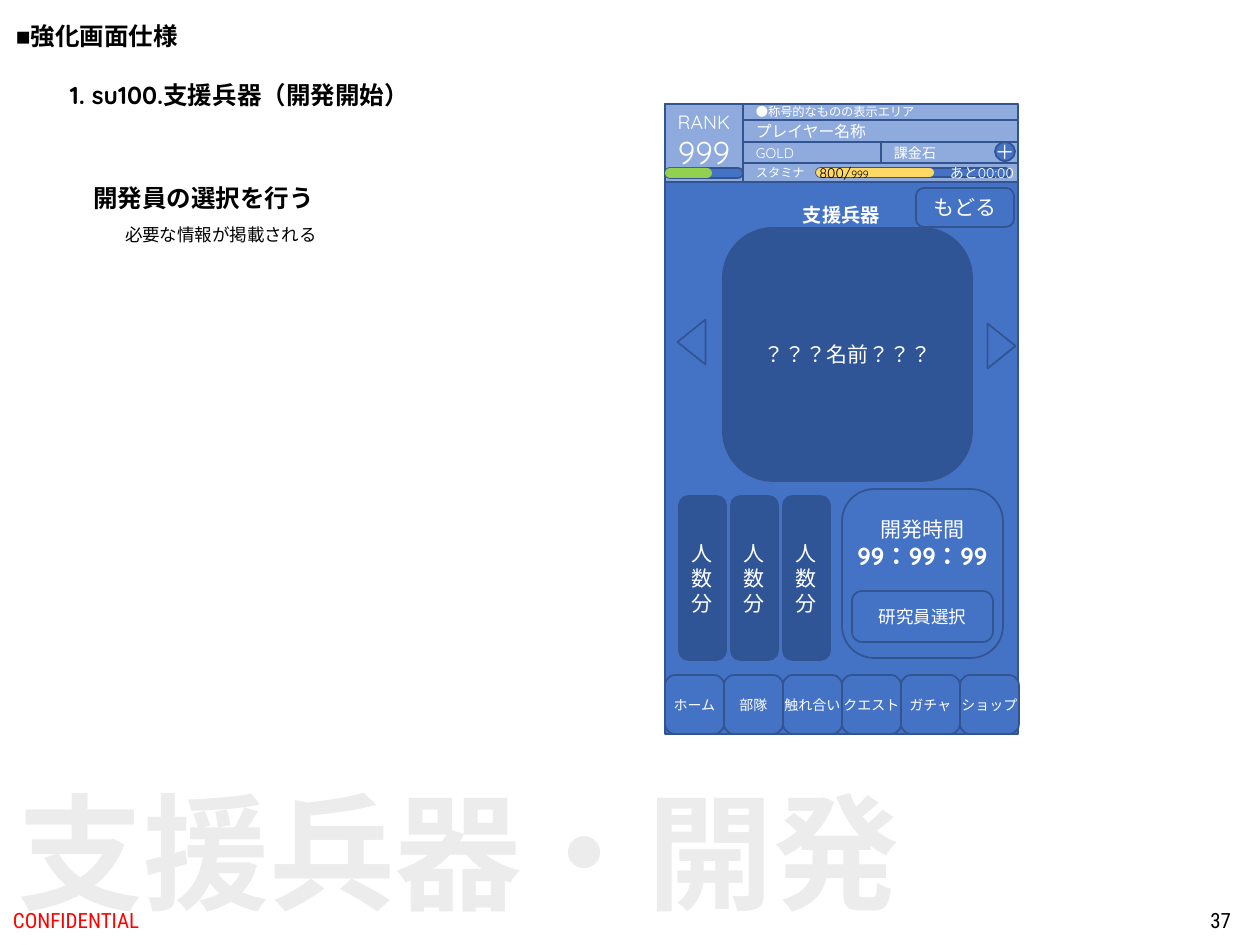
from dataclasses import dataclass

from lxml.etree import SubElement
from pptx import Presentation
from pptx.dml.color import RGBColor
from pptx.enum.lang import MSO_LANGUAGE_ID
from pptx.enum.shapes import MSO_SHAPE
from pptx.enum.text import MSO_ANCHOR, MSO_AUTO_SIZE, PP_ALIGN
from pptx.oxml.ns import qn
from pptx.util import Emu, Pt

PX = 914400 / 126


@dataclass(frozen=True)
class Theme:
    base: str = "4472C4"
    bar: str = "8FAADC"
    deep: str = "2F5597"
    edge: str = "325491"
    rank: str = "92D050"
    stamina: str = "FFD966"
    white: str = "FFFFFF"
    black: str = "000000"
    red: str = "FF0000"
    grey: str = "808080"
    body: str = "Quicksand"
    footer: str = "Roboto Condensed"
    tiny: int = 6
    caption: int = 7
    small: int = 8
    player: int = 9
    note: int = 10
    label: int = 11
    normal: int = 12
    large: int = 14
    number: int = 18
    banner: int = 72


THEME = Theme()


def px(*lengths):
    return [Emu(round(length * PX)) for length in lengths]


def write(frame, text, size=THEME.normal, color=THEME.white, font=THEME.body,
          bold=False, align=PP_ALIGN.CENTER, anchor=MSO_ANCHOR.MIDDLE,
          wrap=False, insets=(13, 6, 13, 6), alpha=None):
    frame.word_wrap = wrap
    frame.vertical_anchor = anchor
    (frame.margin_left, frame.margin_top,
     frame.margin_right, frame.margin_bottom) = px(*insets)
    lines = [[(text, size, bold)]] if isinstance(text, str) else text
    for index, line in enumerate(lines):
        paragraph = frame.paragraphs[0] if index == 0 else frame.add_paragraph()
        paragraph.alignment = align
        for words, points, strong in line:
            run = paragraph.add_run()
            run.text = words
            run.font.size = Pt(points)
            run.font.bold = strong
            run.font.color.rgb = RGBColor.from_string(color)
            run.font.name = font
            run.font.language_id = MSO_LANGUAGE_ID.JAPANESE
            properties = run._r.get_or_add_rPr()
            SubElement(properties, qn("a:ea")).set("typeface", font)
            if alpha is not None:
                tint = properties.find(".//" + qn("a:srgbClr"))
                SubElement(tint, qn("a:alpha")).set("val", str(alpha * 1000))


class Screen:
    """Draws the elements of a game screen specification on a slide."""

    def __init__(self, slide, theme):
        self.shapes = slide.shapes
        self.theme = theme

    def block(self, box, text=None, kind=MSO_SHAPE.RECTANGLE, fill=None,
              outlined=True, radius=None, rotation=0, **style):
        block = self.shapes.add_shape(kind, *px(*box))
        block.shadow.inherit = False
        block.fill.solid()
        block.fill.fore_color.rgb = RGBColor.from_string(fill or self.theme.base)
        if outlined:
            block.line.color.rgb = RGBColor.from_string(self.theme.edge)
            block.line.width = Pt(1)
        else:
            block.line.fill.background()
        if radius is not None:
            block.adjustments[0] = radius
        block.rotation = rotation
        if text:
            write(block.text_frame, text, **style)

    def bar(self, box, text, **style):
        self.block(box, text, fill=self.theme.bar, wrap=True,
                   align=PP_ALIGN.LEFT, **style)

    def button(self, box, text, radius=0.2, **style):
        self.block(box, text, MSO_SHAPE.ROUNDED_RECTANGLE, radius=radius, **style)

    def gauge(self, left, top, width, height, level, fill):
        for length, paint, outlined in ((width, None, True), (level, fill, False)):
            self.block((left, top, length, height), fill=paint, outlined=outlined,
                       kind=MSO_SHAPE.ROUNDED_RECTANGLE, radius=0.5)

    def arrow(self, box, rotation):
        self.block(box, kind=MSO_SHAPE.ISOSCELES_TRIANGLE, rotation=rotation)

    def label(self, box, text, grow=False, **style):
        label = self.shapes.add_textbox(*px(*box))
        write(label.text_frame, text, **style)
        if grow:
            label.text_frame.auto_size = MSO_AUTO_SIZE.SHAPE_TO_FIT_TEXT

    def heading(self, box, text, **style):
        style = {"size": self.theme.large, "bold": True, **style}
        self.label(box, text, grow=True, color=self.theme.black,
                   align=PP_ALIGN.LEFT, anchor=MSO_ANCHOR.TOP, **style)


def draw_notes(screen):
    theme = screen.theme
    screen.label((0, 895, 426, 50), "CONFIDENTIAL", color=theme.red,
                 font=theme.footer, align=PP_ALIGN.LEFT, wrap=True)
    screen.label((960, 895, 284, 50), "37", color=theme.black,
                 font=theme.footer, align=PP_ALIGN.RIGHT, wrap=True)
    screen.label((5, 769, 1221, 165), "支援兵器・開発", grow=True, wrap=True,
                 size=theme.banner, bold=True, color=theme.grey, alpha=14,
                 align=PP_ALIGN.LEFT, anchor=MSO_ANCHOR.TOP)
    screen.heading((3, 15, 199, 43), "■強化画面仕様", font="Arial")
    screen.heading((57, 74, 374, 43), "1. su100.支援兵器（開発開始）")
    screen.heading((80, 177, 248, 43), "開発員の選択を行う")
    screen.heading((112, 218, 219, 34), "必要な情報が掲載される",
                   size=theme.note, bold=False)


def draw_status(screen):
    theme = screen.theme
    screen.block((665, 104, 78, 78),
                 [[("RANK", theme.label, False)], [("999", theme.number, False)]],
                 fill=theme.bar, anchor=MSO_ANCHOR.TOP, insets=(0, 6, 0, 6))
    for box, text, size in (
        ((743, 104, 275, 16), "●称号的なものの表示エリア", theme.caption),
        ((743, 120, 275, 22), "プレイヤー名称", theme.player),
        ((743, 142, 138, 21), "GOLD", theme.small),
        ((881, 142, 137, 21), "課金石", theme.small),
        ((743, 163, 275, 19), "スタミナ", theme.caption),
    ):
        screen.bar(box, text, size=size)
    screen.block((995, 142, 20, 19), "＋", MSO_SHAPE.OVAL, size=theme.label)
    screen.gauge(665, 168, 78, 10, 47, theme.rank)
    screen.gauge(816, 168, 194, 9, 118, theme.stamina)
    screen.label((804, 163, 80, 19),
                 [[("800/", theme.small, False), ("999", theme.tiny, False)]],
                 color=theme.black, insets=(0, 0, 0, 0))
    screen.label((930, 163, 84, 19), "あと00:00", size=theme.small,
                 align=PP_ALIGN.RIGHT, insets=(0, 0, 0, 0))


def draw_development(screen):
    theme = screen.theme
    screen.button((916, 188, 98, 39), "もどる")
    screen.arrow((979, 332, 45, 28), 90)
    screen.arrow((669, 328, 45, 28), 270)
    screen.button((842, 489, 161, 169),
                  [[("開発時間", theme.normal, False)],
                   [("99：99：99", theme.large, True)]], insets=(13, 6, 13, 66))
    screen.button((852, 591, 141, 51), "研究員選択", size=theme.note)
    screen.button((723, 228, 249, 253), "？？？名前？？？", fill=theme.deep)
    head_count = [[(letter, theme.normal, False)] for letter in "人数分"]
    for column in range(3):
        screen.button((679 + 52 * column, 496, 47, 164), head_count, fill=theme.deep)


def main():
    deck = Presentation()
    deck.slide_width, deck.slide_height = px(1260, 945)
    screen = Screen(deck.slides.add_slide(deck.slide_layouts[6]), THEME)
    draw_notes(screen)
    screen.block((665, 104, 353, 630), "支援兵器", size=THEME.label, bold=True,
                 font="Noto Sans CJK JP", anchor=MSO_ANCHOR.TOP,
                 insets=(13, 99, 13, 6))
    menu = ("ホーム", "部隊", "触れ合い", "クエスト", "ガチャ", "ショップ")
    for column, name in enumerate(menu):
        screen.button((665 + 59 * column, 675, 59, 59), name, radius=0.17,
                      size=THEME.small)
    draw_status(screen)
    draw_development(screen)
    deck.save("out.pptx")


if __name__ == "__main__":
    main()
